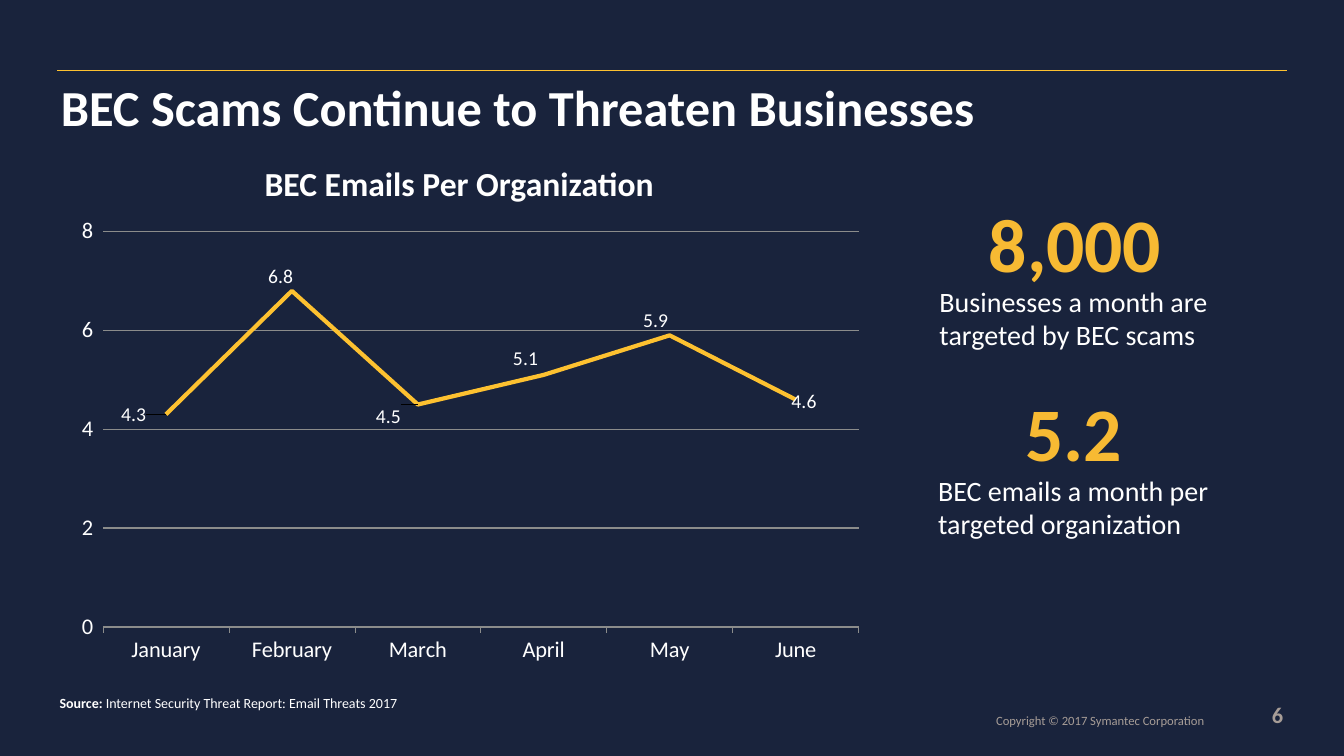
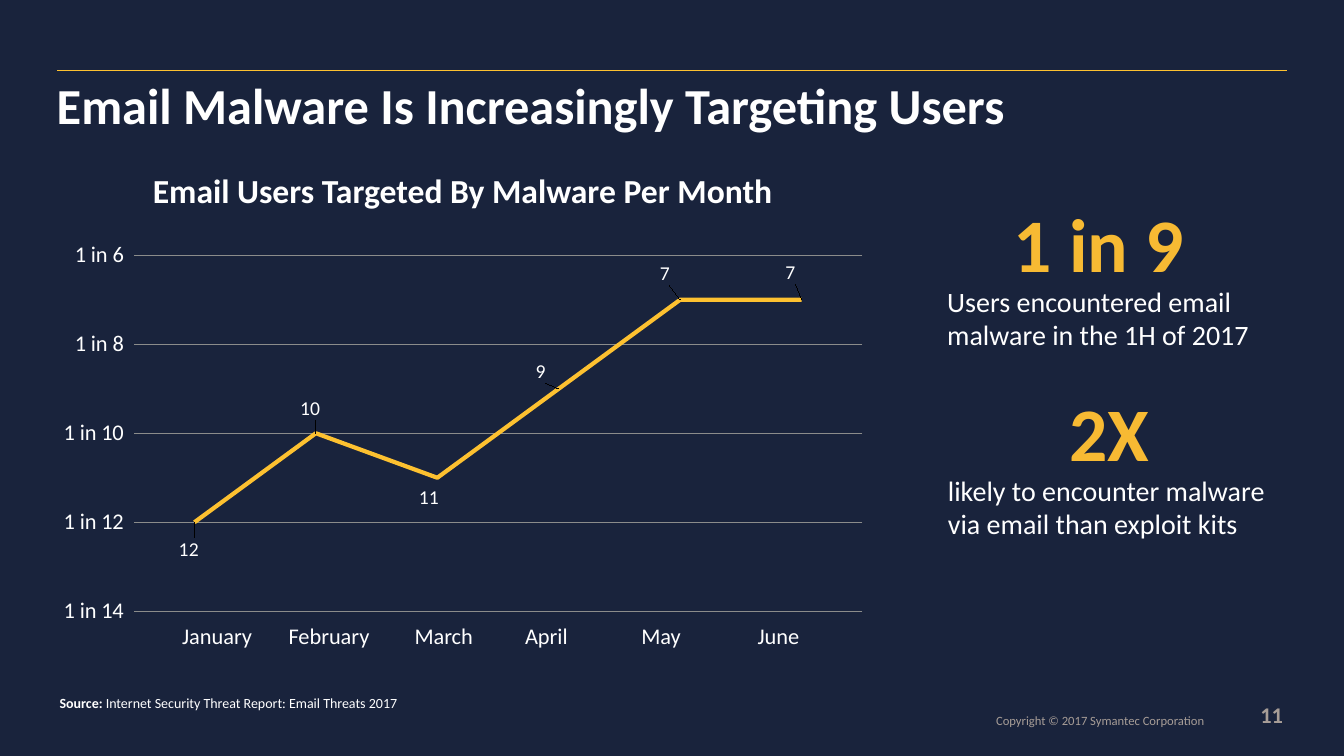
from dataclasses import dataclass

from lxml.etree import SubElement
from pptx import Presentation
from pptx.chart.chart import Chart
from pptx.chart.data import CategoryChartData
from pptx.dml.color import RGBColor
from pptx.enum.chart import XL_CHART_TYPE, XL_LABEL_POSITION
from pptx.enum.shapes import MSO_CONNECTOR
from pptx.enum.text import MSO_ANCHOR, PP_ALIGN
from pptx.oxml.ns import qn
from pptx.slide import Slide
from pptx.text.text import TextFrame, _Paragraph
from pptx.util import Pt


@dataclass(frozen=True)
class Theme:
    font: str = "Calibri"
    back: RGBColor = RGBColor(0x19, 0x23, 0x3C)
    white: RGBColor = RGBColor(0xFF, 0xFF, 0xFF)
    gold: RGBColor = RGBColor(0xFD, 0xC1, 0x30)
    amber: RGBColor = RGBColor(0xF7, 0xBA, 0x33)
    grey: RGBColor = RGBColor(0xA7, 0x9D, 0x97)
    grid: RGBColor = RGBColor(0x8B, 0x8C, 0x8B)
    title: int = 36
    head: int = 24
    stat: int = 54
    body: int = 20
    axis: int = 16
    label: int = 14
    source: int = 10
    legal: int = 9


@dataclass(frozen=True)
class Box:
    left: float
    top: float
    width: float
    height: float

    def lengths(self) -> tuple[Pt, Pt, Pt, Pt]:
        return Pt(self.left), Pt(self.top), Pt(self.width), Pt(self.height)


@dataclass(frozen=True)
class Style:
    size: int
    color: RGBColor
    bold: bool = False
    align: PP_ALIGN = PP_ALIGN.LEFT
    spacing: float = 1.0


@dataclass(frozen=True)
class Stat:
    left: float
    width: float
    figure: str
    caption: str


@dataclass(frozen=True)
class Graph:
    """Line chart; shifts move each label from its place above the point."""
    box: Box
    plot: tuple[float, float, float, float]
    names: list[str]
    values: list[float]
    shifts: list[tuple[float, float]]
    low: float
    high: float
    ticks: str
    labels: str
    flipped: bool = False


@dataclass(frozen=True)
class Page:
    number: str
    title: str
    spot: Box
    head: str
    band: Box
    graph: Graph
    stats: tuple[Stat, Stat]


THEME = Theme()
MONTHS = ["January", "February", "March", "April", "May", "June"]
TABS = [76, 166, 245, 328, 411]
STAT_TOPS = (150, 285)

PAGES = [
    Page(
        "6", "BEC Scams Continue to Threaten Businesses", Box(43.5, 62.5, 875, 44),
        "BEC Emails Per Organization", Box(97, 112.5, 462, 36),
        Graph(Box(35.5, 126, 604.5, 362), (0.063, 0.109, 0.893, 0.78),
              MONTHS, [4.3, 6.8, 4.5, 5.1, 5.9, 4.6],
              [(-23, 12), (-8, 1), (-21, 20), (-13, 0), (-10, 1), (6, 13)],
              0, 8, "#,##0", "0.0"),
        (Stat(664, 208, "8,000", "Businesses a month are targeted by BEC scams"),
         Stat(663, 208, "5.2", "BEC emails a month per targeted organization")),
    ),
    Page(
        "11", "Email Malware Is Increasingly Targeting Users", Box(40.5, 61, 875, 44),
        "Email Users Targeted By Malware Per Month", Box(99.5, 118, 462, 36),
        Graph(Box(33, 111.5, 595, 349), (0.105, 0.203, 0.875, 0.729),
              [str(n) for n in range(1, 7)], [12, 10, 11, 9, 7, 7],
              [(-4, 31), (-4, -6), (-6, 26), (-13, -1), (-11, -7), (-8, -8)],
              6, 14, '"1 in"\\ #,##0', "0", flipped=True),
        (Stat(669.5, 231, "1 in 9",
              "Users encountered email malware in the 1H of 2017"),
         Stat(670, 245, "2X",
              "likely to encounter malware via email than exploit kits")),
    ),
]


def format_text(para: _Paragraph, style: Style) -> None:
    para.alignment = style.align
    para.line_spacing = style.spacing
    for run in para.runs:
        run.font.name = THEME.font
        run.font.size = Pt(style.size)
        run.font.bold = style.bold
        run.font.color.rgb = style.color


def clear_insets(frame: TextFrame) -> None:
    frame.margin_left = frame.margin_right = 0
    frame.margin_top = frame.margin_bottom = 0


def add_text(slide: Slide, box: Box, words: str, style: Style) -> TextFrame:
    frame = slide.shapes.add_textbox(*box.lengths()).text_frame
    frame.word_wrap = True
    frame.text = words
    format_text(frame.paragraphs[0], style)
    return frame


def add_foot(slide: Slide, box: Box, words: str, style: Style) -> None:
    frame = add_text(slide, box, words, style)
    clear_insets(frame)
    frame.vertical_anchor = MSO_ANCHOR.BOTTOM


def add_frame(slide: Slide, page: Page) -> None:
    """Draw what all slides share: rule, title, source and footers."""
    rule = slide.shapes.add_connector(
        MSO_CONNECTOR.STRAIGHT, Pt(41), Pt(50.4), Pt(919.5), Pt(50.4))
    rule.line.color.rgb = THEME.gold
    rule.line.width = Pt(0.75)
    SubElement(rule._element.spPr, qn("a:effectLst"))

    title = slide.shapes.title
    title.left, title.top, title.width, title.height = page.spot.lengths()
    frame = title.text_frame
    frame.text = page.title
    frame.word_wrap = True
    frame.vertical_anchor = MSO_ANCHOR.TOP
    clear_insets(frame)
    format_text(frame.paragraphs[0],
                Style(THEME.title, THEME.white, True, spacing=0.8))

    source = add_text(slide, Box(35.5, 492.5, 300, 21), "Source: ",
                      Style(THEME.source, THEME.white)).paragraphs[0]
    source.add_run().text = "Internet Security Threat Report: Email Threats 2017"
    format_text(source, Style(THEME.source, THEME.white))
    source.runs[0].font.bold = True

    add_foot(slide, Box(499, 506, 361, 14), "Copyright © 2017 Symantec Corporation",
             Style(THEME.legal, THEME.grey, align=PP_ALIGN.RIGHT, spacing=0.9))
    add_foot(slide, Box(892, 509, 24.5, 11), page.number,
             Style(THEME.axis, THEME.grey, True, PP_ALIGN.RIGHT))


def place_plot(chart: Chart, graph: Graph) -> None:
    area = chart.element.find(f".//{qn('c:plotArea')}")
    for old in area.findall(qn("c:layout")):
        area.remove(old)
    layout = SubElement(area, qn("c:layout"))
    area.insert(0, layout)
    manual = SubElement(layout, qn("c:manualLayout"))
    SubElement(manual, qn("c:layoutTarget")).set("val", "inner")
    for side in "xy":
        SubElement(manual, qn(f"c:{side}Mode")).set("val", "edge")
    for side, share in zip("xywh", graph.plot):
        SubElement(manual, qn(f"c:{side}")).set("val", str(share))


def shift_labels(chart: Chart, graph: Graph) -> None:
    """Move each point label by its shift, as a share of the chart size."""
    for label, (right, down) in zip(chart.element.iter(qn("c:dLbl")), graph.shifts):
        layout = SubElement(label, qn("c:layout"))
        label.insert(1, layout)
        manual = SubElement(layout, qn("c:manualLayout"))
        SubElement(manual, qn("c:x")).set("val", f"{right / graph.box.width:.4f}")
        SubElement(manual, qn("c:y")).set("val", f"{down / graph.box.height:.4f}")


def add_graph(slide: Slide, graph: Graph) -> None:
    data = CategoryChartData()
    data.categories = graph.names
    data.add_series("Series 1", graph.values)
    chart = slide.shapes.add_chart(
        XL_CHART_TYPE.LINE, *graph.box.lengths(), data).chart
    chart.has_title = chart.has_legend = False
    chart.font.name = THEME.font
    chart.font.size = Pt(THEME.axis)
    chart.font.color.rgb = THEME.white
    place_plot(chart, graph)

    scale = chart.value_axis
    scale.minimum_scale, scale.maximum_scale = graph.low, graph.high
    scale.major_unit = 2
    scale.reverse_order = graph.flipped
    scale.tick_labels.number_format = graph.ticks
    scale.tick_labels.number_format_is_linked = False
    scale.format.line.fill.background()
    lines = scale.major_gridlines.format.line
    lines.color.rgb = THEME.grid
    lines.width = Pt(1)

    base = chart.category_axis
    base.visible = not graph.flipped
    base.format.line.color.rgb = THEME.grid
    base.format.line.width = Pt(0.5)

    chart.plots[0].vary_by_categories = False
    series = chart.plots[0].series[0]
    series.smooth = False
    series.format.line.color.rgb = THEME.gold
    series.format.line.width = Pt(3)
    labels = series.data_labels
    labels.show_value = True
    labels.number_format = graph.labels
    labels.number_format_is_linked = False
    for index in range(len(graph.values)):
        label = series.points[index].data_label
        label.position = XL_LABEL_POSITION.ABOVE
        label.font.size = Pt(THEME.label)
        label.font.name = THEME.font
        label.font.color.rgb = THEME.white
    labels.font.size = Pt(THEME.label)
    labels.font.name = THEME.font
    labels.font.color.rgb = THEME.white
    shift_labels(chart, graph)


def add_months(slide: Slide) -> None:
    """Write the months at tab stops below a chart without a visible axis."""
    frame = add_text(slide, Box(123, 440.5, 500, 27), "\t".join(MONTHS),
                     Style(THEME.axis, THEME.white))
    stops = SubElement(frame.paragraphs[0]._p.get_or_add_pPr(), qn("a:tabLst"))
    for place in TABS:
        stop = SubElement(stops, qn("a:tab"))
        stop.set("pos", str(Pt(place)))
        stop.set("algn", "l")


def add_stat(slide: Slide, stat: Stat, top: float) -> None:
    add_text(slide, Box(stat.left, top, stat.width, 61), stat.figure,
             Style(THEME.stat, THEME.amber, True, PP_ALIGN.CENTER, 0.8))
    add_text(slide, Box(stat.left, top + 49.5, stat.width, 55.5), stat.caption,
             Style(THEME.body, THEME.white))


def main() -> None:
    deck = Presentation()
    deck.slide_width, deck.slide_height = Pt(960), Pt(540)
    fill = deck.slide_master.background.fill
    fill.solid()
    fill.fore_color.rgb = THEME.back
    for page in PAGES:
        slide = deck.slides.add_slide(deck.slide_layouts.get_by_name("Title Only"))
        add_frame(slide, page)
        add_graph(slide, page.graph)
        if page.graph.flipped:
            add_months(slide)
        add_text(slide, page.band, page.head,
                 Style(THEME.head, THEME.white, True, PP_ALIGN.CENTER))
        for stat, top in zip(page.stats, STAT_TOPS):
            add_stat(slide, stat, top)
    deck.save("out.pptx")


if __name__ == "__main__":
    main()
